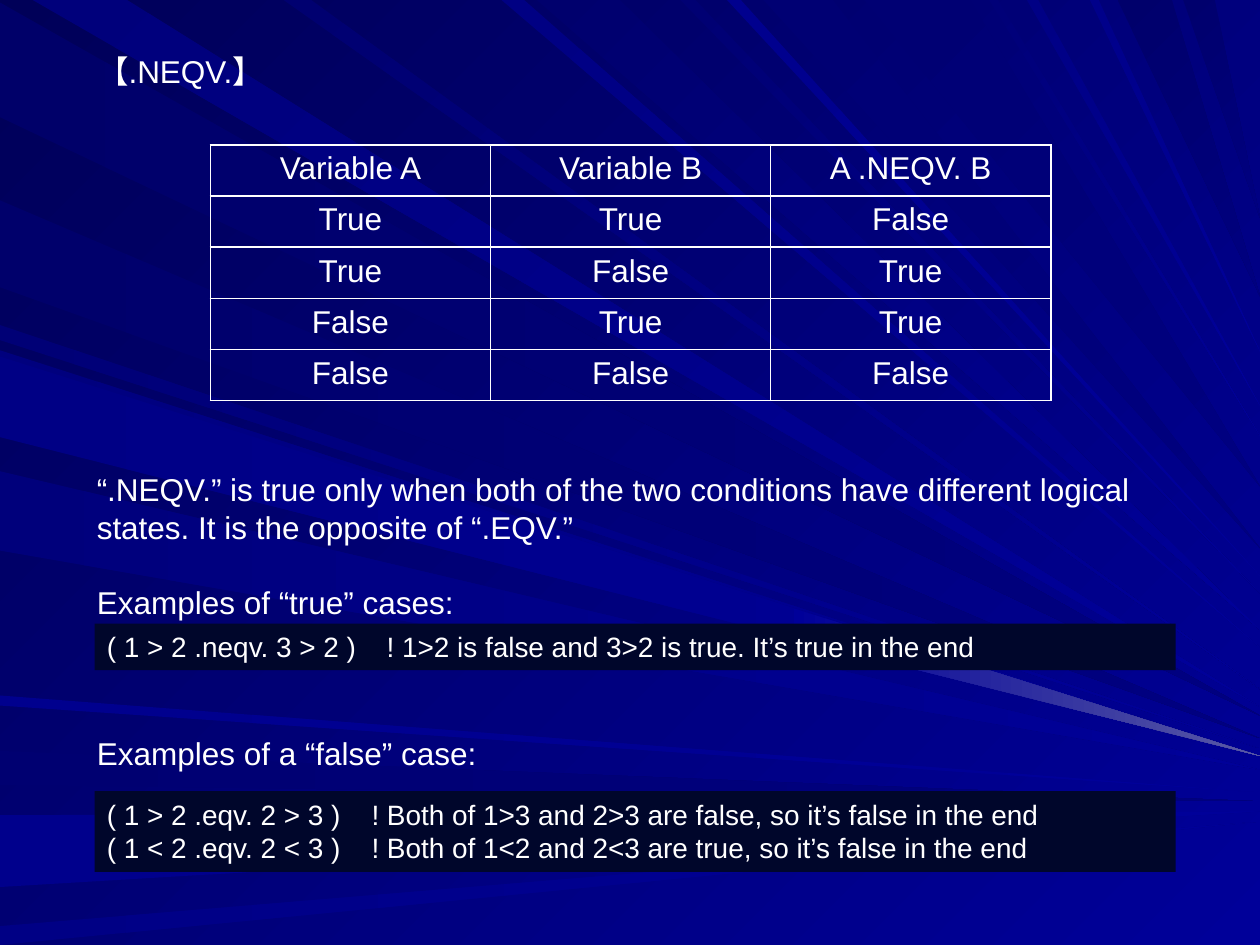
from math import sqrt

from lxml.etree import SubElement
from pptx import Presentation
from pptx.dml.color import RGBColor
from pptx.enum.shapes import MSO_SHAPE
from pptx.enum.text import MSO_ANCHOR, MSO_AUTO_SIZE, PP_ALIGN
from pptx.oxml.ns import qn
from pptx.util import Emu, Pt

SCALE = 9144  # EMU per px, 100 px to the inch
FONT = "Arial"
WHITE = "FFFFFF"
CODE_FILL = "00062B"
NAVY, BLUE, GLINT = "000080", "000099", "5A5AA6"
LINE_HEIGHT = 21.5  # points, one line of 18 pt text

# Edge the ray starts from, start and width along it, first and last colour
RAYS = [
    ("left", 2, 91, "000069", NAVY),
    ("top", 26, 75, "00007B", BLUE),
    ("left", 596, 27, "000071", NAVY),
    ("left", 647, 57, "00008C", BLUE),
    ("left", 735, 15, "000085", BLUE),
    ("left", 258, 12, "000076", BLUE),
    ("left", 159, 69, "00006B", NAVY),
    ("top", 398, 18, "000083", BLUE),
    ("top", 426, 66, "00006D", BLUE),
    ("top", 540, 12, "000073", BLUE),
    ("top", 606, 55, "000073", NAVY),
    ("top", 887, 43, "00006B", NAVY),
    ("top", 939, 25, "00006D", NAVY),
    ("left", 278, 64, "00007E", BLUE),
    ("left", 374, 63, "00007B", BLUE),
    ("left", 552, 8, "00008E", BLUE),
    ("top", 225, 22, "000070", BLUE),
    ("top", 577, 11, "00008E", BLUE),
    ("top", 686, 84, "000073", NAVY),
    ("top", 785, 7, "000078", BLUE),
    ("top", 815, 9, "000085", BLUE),
    ("top", 865, 7, "00008A", BLUE),
    ("left", 283, 64, "000085", BLUE),
]
GLINT_START = 0.63  # share of the last ray after which it brightens

TRUTH_TABLE = [
    ("Variable A", "Variable B", "A .NEQV. B"),
    ("True", "True", "False"),
    ("True", "False", "True"),
    ("False", "True", "True"),
    ("False", "False", "False"),
]

# Text and the number of empty lines before it
EXPLANATION = [
    ("“.NEQV.” is true only when both of the two conditions have different "
     "logical states. It is the opposite of “.EQV.”", 0),
    ("Examples of “true” cases:", 1),
    ("Examples of a “false” case:", 3),
]

TRUE_CASES = [
    ("( 1 > 2 .neqv. 3 > 2 )", "! 1>2 is false and 3>2 is true. It’s true in the end"),
]
FALSE_CASES = [
    ("( 1 > 2 .eqv. 2 > 3 )", "! Both of 1>3 and 2>3 are false, so it’s false in the end"),
    ("( 1 < 2 .eqv. 2 < 3 )", "! Both of 1<2 and 2<3 are true, so it’s false in the end"),
]


def px(length):
    return Emu(round(length * SCALE))


def color(value):
    return RGBColor.from_string(value)


def format_paragraph(para, size=18, align=PP_ALIGN.LEFT):
    para.alignment = align
    para.font.name = FONT
    para.font.size = Pt(size)
    para.font.color.rgb = color(WHITE)


def fill_gradient(fill, start, end, angle):
    """Fill along a clockwise angle."""
    fill.gradient()
    fill.gradient_angle = -angle % 360
    for stop, value in zip(fill.gradient_stops, (start, end)):
        stop.color.rgb = color(value)


def add_beam(page, corners, start, end, angle):
    builder = page.shapes.build_freeform(*corners[0], scale=SCALE)
    builder.add_line_segments(corners[1:], close=True)
    beam = builder.convert_to_shape()
    beam.shadow.inherit = False
    beam.line.fill.background()
    fill_gradient(beam.fill, start, end, angle)


def add_rays(page, box):
    """Draw rays from the left and top edges, narrowing to the right edge."""
    left, top, width, height = box
    reach = 0.75 * height  # where a ray from the top left corner ends
    for edge, offset, thickness, start, end in RAYS:
        middle = offset + thickness / 2
        if edge == "left":
            base = [(left, top + offset), (left, top + offset + thickness)]
            tip = (left + width, top + reach + 0.12 * middle)
        else:
            base = [(left + offset, top), (left + offset + thickness, top)]
            tip = (left + width, top + reach * sqrt(1 - (middle / width) ** 2))
        add_beam(page, [*base, tip], start, end, 0 if edge == "left" else 45)
    glint = [tuple(a + (b - a) * GLINT_START for a, b in zip(corner, tip)) for corner in base]
    add_beam(page, [*glint, tip], BLUE, GLINT, 0)


def place_title(page, box, text):
    title = page.shapes.title
    title.left, title.top, title.width, title.height = map(px, box)
    title.text = text
    frame = title.text_frame
    frame.vertical_anchor = MSO_ANCHOR.TOP
    frame.auto_size = MSO_AUTO_SIZE.NONE
    format_paragraph(frame.paragraphs[0])
    title.element.getparent().append(title.element)  # bring in front of the rays


def add_explanation(page, box):
    frame = page.shapes.add_textbox(*map(px, box)).text_frame
    frame.word_wrap = True
    for index, (text, gap) in enumerate(EXPLANATION):
        para = frame.add_paragraph() if index else frame.paragraphs[0]
        para.text = text
        para.space_before = Pt(gap * LINE_HEIGHT)
        format_paragraph(para)


def add_cell_borders(cell):
    properties = cell._tc.get_or_add_tcPr()
    for index, side in enumerate(("lnL", "lnR", "lnT", "lnB")):
        line = properties.makeelement(qn(f"a:{side}"), {"w": str(Pt(1))})
        fill = SubElement(line, qn("a:solidFill"))
        SubElement(fill, qn("a:srgbClr"), val=WHITE)
        properties.insert(index, line)


def add_truth_table(page, box):
    row_count, column_count = len(TRUTH_TABLE), len(TRUTH_TABLE[0])
    table = page.shapes.add_table(row_count, column_count, *map(px, box)).table
    table.first_row = table.horz_banding = False
    for column in table.columns:
        column.width = px(box[2] / column_count)
    for row, texts in zip(table.rows, TRUTH_TABLE):
        row.height = px(box[3] / row_count)
        for cell, text in zip(row.cells, texts):
            cell.text = text
            cell.fill.background()
            add_cell_borders(cell)
            format_paragraph(cell.text_frame.paragraphs[0], align=PP_ALIGN.CENTER)


def add_code_box(page, box, lines, comment_left):
    """Add code lines whose comments start at a tab stop."""
    shape = page.shapes.add_shape(MSO_SHAPE.RECTANGLE, *map(px, box))
    shape.shadow.inherit = False
    shape.line.fill.background()
    shape.fill.solid()
    shape.fill.fore_color.rgb = color(CODE_FILL)
    frame = shape.text_frame
    frame.word_wrap = True
    frame.auto_size = MSO_AUTO_SIZE.SHAPE_TO_FIT_TEXT
    frame.vertical_anchor = MSO_ANCHOR.TOP
    for index, (code, comment) in enumerate(lines):
        para = frame.add_paragraph() if index else frame.paragraphs[0]
        para.text = f"{code}\t{comment}"
        format_paragraph(para, 16)
        properties = para._p.get_or_add_pPr()
        tabs = properties.makeelement(qn("a:tabLst"), {})
        SubElement(tabs, qn("a:tab"), pos=str(px(comment_left)), algn="l")
        properties.insert_element_before(tabs, "a:defRPr", "a:extLst")


def main():
    deck = Presentation()
    deck.slide_width, deck.slide_height = px(1000), px(750)
    page = deck.slides.add_slide(deck.slide_layouts[5])
    fill_gradient(page.background.fill, "000058", BLUE, 45)
    add_rays(page, (0, 0, 1000, 750))
    place_title(page, (67, 36, 900, 42), "【.NEQV.】")
    add_explanation(page, (67, 368, 900, 250))
    add_truth_table(page, (167, 115, 667, 203))
    add_code_box(page, (75, 628, 858, 64), FALSE_CASES, 210)
    add_code_box(page, (75, 495, 858, 37), TRUE_CASES, 222)
    deck.save("out.pptx")


if __name__ == "__main__":
    main()
